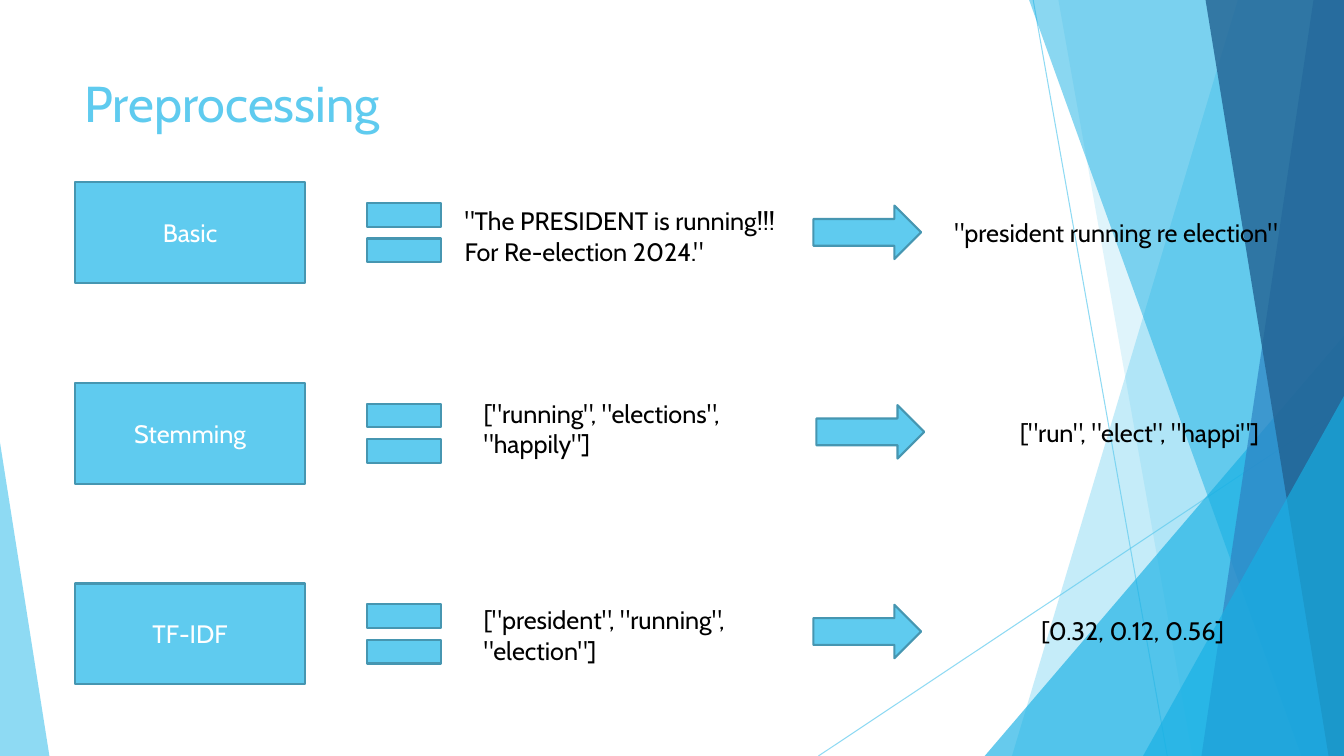
from lxml.etree import SubElement
from pptx import Presentation
from pptx.dml.color import RGBColor
from pptx.enum.shapes import MSO_CONNECTOR, MSO_SHAPE as Shape
from pptx.enum.text import MSO_ANCHOR as Anchor, PP_ALIGN as Align
from pptx.oxml.ns import qn
from pptx.util import Pt

WIDTH, HEIGHT = 960, 540
SKY, CYAN, BLUE, NAVY = "5FCBEF", "17B0E4", "2E83C3", "226292"
EDGE, BLACK, WHITE = "4696B1", "000000", "FFFFFF"


def rgb(color):
    return RGBColor.from_string(color)


def set_alpha(fill, percent):
    """Make a solid fill partly transparent."""
    color = fill._xPr.find(qn("a:solidFill"))[0]
    SubElement(color, qn("a:alpha")).set("val", str(percent * 1000))


class SlideBuilder:
    font = "Cabin"

    def __init__(self, slide):
        self.shapes = slide.shapes

    def paint(self, shape, color, alpha=100, edge=None):
        shape.shadow.inherit = False
        shape.fill.solid()
        shape.fill.fore_color.rgb = rgb(color)
        if alpha < 100:
            set_alpha(shape.fill, alpha)
        if edge:
            shape.line.color.rgb = rgb(edge)
            shape.line.width = Pt(1.5)
        else:
            shape.line.fill.background()

    def set_words(self, shape, words, size, color, align=Align.LEFT, anchor=Anchor.TOP):
        frame = shape.text_frame
        frame.word_wrap = True
        frame.vertical_anchor = anchor
        paragraph = frame.paragraphs[0]
        paragraph.text = words
        paragraph.alignment = align
        paragraph.font.name = self.font
        paragraph.font.size = Pt(size)
        paragraph.font.color.rgb = rgb(color)

    def text(self, words, left, top, width, height, size=18, color=BLACK):
        box = self.shapes.add_textbox(Pt(left), Pt(top), Pt(width), Pt(height))
        self.set_words(box, words, size, color)

    def symbol(self, kind, left, top, width, height):
        shape = self.shapes.add_shape(kind, Pt(left), Pt(top), Pt(width), Pt(height))
        self.paint(shape, SKY, edge=EDGE)
        return shape

    def step(self, name, left, top, width, height):
        box = self.symbol(Shape.RECTANGLE, left, top, width, height)
        self.set_words(box, name, 18, WHITE, Align.CENTER, Anchor.MIDDLE)

    def triangle(self, left, top, width, apex, color, alpha):
        """Triangle standing on the slide's bottom edge."""
        shape = self.shapes.add_shape(
            Shape.ISOSCELES_TRIANGLE, Pt(left), Pt(top), Pt(width), Pt(HEIGHT - top))
        shape.adjustments[0] = apex
        self.paint(shape, color, alpha)

    def band(self, top_x, bottom_x, color, alpha):
        """Full-height area from a slanted edge to the slide's right side."""
        outline = self.shapes.build_freeform(Pt(top_x), 0, scale=1.0)
        corners = [(WIDTH, 0), (WIDTH, HEIGHT), (bottom_x, HEIGHT)]
        outline.add_line_segments([(Pt(x), Pt(y)) for x, y in corners], close=True)
        self.paint(outline.convert_to_shape(), color, alpha)

    def line(self, x1, y1, x2, y2):
        line = self.shapes.add_connector(
            MSO_CONNECTOR.STRAIGHT, Pt(x1), Pt(y1), Pt(x2), Pt(y2))
        line.line.width = Pt(0.75)
        line.line.color.rgb = rgb(SKY)
        set_alpha(line.line.fill, 70)
        SubElement(line._element.spPr, qn("a:effectLst"))


def draw_backdrop(builder):
    builder.line(738, 0, 833.8, HEIGHT)
    builder.line(WIDTH, 290.2, 584.6, HEIGHT)
    builder.band(884.2, 722.9, SKY, 36)
    builder.band(756, 851.8, SKY, 20)
    builder.triangle(703.4, 239.8, 256.6, 1, CYAN, 66)
    builder.band(735.1, 929.5, CYAN, 50)
    builder.band(938.2, 858.2, BLUE, 70)
    builder.band(861.1, 949, NAVY, 80)
    builder.triangle(816.5, 283, 143.5, 1, CYAN, 66)
    builder.triangle(0, 316.1, 35.3, 0, SKY, 70)


# step, (example, left, top), (arrow left, top), (result, left, top, width)
STEPS = [
    ("Basic",
     ('"The PRESIDENT is running!!! For Re-election 2024."', 324.7, 143.3),
     (581, 146.9), ('"president running re election"', 674.6, 151.9, 285.8)),
    ("Stemming",
     ('["running", "elections", "happily"]', 338.4, 280.8),
     (583.2, 289.4), ('["run", "elect", "happi"]', 721.4, 294.5, 285.8)),
    ("TF-IDF",
     ('["president", "running", "election"]', 338.4, 428.4),
     (581, 432), ("[0.32, 0.12, 0.56]", 736.6, 436.3, 164.9)),
]
FIRST_TOP, PITCH, STEP_HEIGHT = 130.2, 143.3, 72


def main():
    deck = Presentation()
    deck.slide_width, deck.slide_height = Pt(WIDTH), Pt(HEIGHT)
    builder = SlideBuilder(deck.slides.add_slide(deck.slide_layouts[6]))
    draw_backdrop(builder)
    builder.text("Preprocessing", 53.3, 48.2, 270.7, 63.4, size=36, color=SKY)
    for row, (name, example, arrow, result) in enumerate(STEPS):
        top = FIRST_TOP + row * PITCH
        builder.step(name, 53.3, top, 164.9, STEP_HEIGHT)
        builder.symbol(Shape.MATH_EQUAL, 252.7, top, STEP_HEIGHT, STEP_HEIGHT)
        builder.text(*example, 258.5, 51)
        builder.symbol(Shape.RIGHT_ARROW, *arrow, 77, 38.2)
        builder.text(*result, 29)
    deck.save("out.pptx")


if __name__ == "__main__":
    main()
